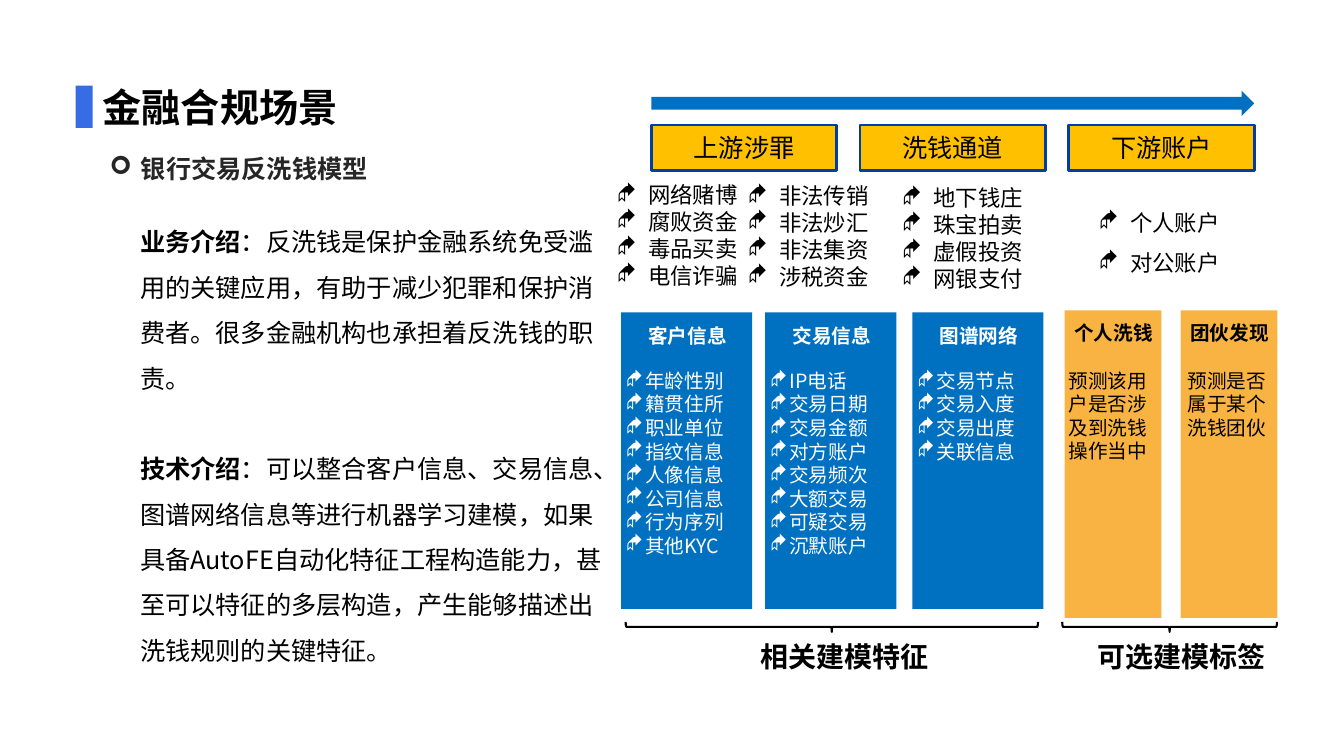
import pptx
import pptx.util
import pptx.dml.color
import pptx.enum.shapes
import pptx.enum.text
import pptx.oxml
import pptx.oxml.ns
from pptx.util import Inches

FONT = "Noto Sans CJK SC"
BLACK, WHITE, BLUE, ORANGE = "000000", "FFFFFF", "0070C0", "F8B342"
SHAPES = pptx.enum.shapes.MSO_SHAPE
CENTER = pptx.enum.text.PP_ALIGN.CENTER
MIDDLE = pptx.enum.text.MSO_ANCHOR.MIDDLE


def colour(value):
    return pptx.dml.color.RGBColor.from_string(value)


def element(tag, **values):
    node = pptx.oxml.parse_xml(f"<a:{tag} {pptx.oxml.ns.nsdecls('a')}/>")
    for name, value in values.items():
        node.set(name, value)
    return node


def add_bullet(para, symbol, indent):
    properties = para._p.get_or_add_pPr()
    properties.set("marL", str(Inches(indent)))
    properties.set("indent", str(-Inches(indent)))
    properties.append(element("buFont", typeface="Wingdings"))
    properties.append(element("buChar", char=symbol))


def add_span(para, text, size, hue=BLACK, bold=False):
    span = para.add_run()
    span.text = text
    styles = {"name": FONT, "size": pptx.util.Pt(size), "bold": bold}
    for name, value in styles.items():
        setattr(span.font, name, value)
    span.font.color.rgb = colour(hue)
    latin = span._r.rPr.find(pptx.oxml.ns.qn("a:latin"))
    latin.addnext(element("ea", typeface=FONT))


def add_box(page, left, top, width, height):
    box = page.shapes.add_textbox(*map(Inches, (left, top, width, height)))
    box.text_frame.word_wrap = True
    box.text_frame.auto_size = pptx.enum.text.MSO_AUTO_SIZE.SHAPE_TO_FIT_TEXT
    return box.text_frame


def add_text(page, place, text, size, hue=BLACK, bold=False, align=None):
    para = add_box(page, *place).paragraphs[0]
    para.alignment = align
    add_span(para, text, size, hue, bold)


def add_list(page, place, items, size, indent, hue=BLACK, symbol="◆",
             spacing=None, bold=False):
    frame = add_box(page, *place)
    for index, item in enumerate(items):
        para = frame.add_paragraph() if index else frame.paragraphs[0]
        add_bullet(para, symbol, indent)
        para.line_spacing = spacing
        add_span(para, item, size, hue, bold)


def add_shape(page, kind, place, fill=None, line=None, weight=1):
    shape = page.shapes.add_shape(kind, *map(Inches, place))
    shape.shadow.inherit = False
    if fill:
        shape.fill.solid()
        shape.fill.fore_color.rgb = colour(fill)
    else:
        shape.fill.background()
    if line:
        shape.line.color.rgb = colour(line)
        shape.line.width = pptx.util.Pt(weight)
    else:
        shape.line.fill.background()
    return shape


def add_stage(page, left, name):
    place = (left, 1.24, 1.84, 0.45)
    stage = add_shape(page, SHAPES.RECTANGLE, place, "FFC000", "003DA7", 2)
    stage.text_frame.vertical_anchor = MIDDLE
    para = stage.text_frame.paragraphs[0]
    para.alignment = CENTER
    add_span(para, name, 18)


def add_feature_card(page, left, name, items):
    add_shape(page, SHAPES.RECTANGLE, (left, 3.1, 1.3, 2.94), BLUE)
    add_text(page, (left - 0.05, 3.16, 1.42, 0.34), name, 14, WHITE, True, CENTER)
    place = (left - 0.05, 3.61, 1.42, 0.11 + 0.235 * len(items))
    add_list(page, place, items, 14, 0.19, WHITE)


def add_label_card(page, left, name, text, text_left, height):
    add_shape(page, SHAPES.RECTANGLE, (left, 3.08, 0.96, 3.05), ORANGE)
    add_text(page, (left - 0.1, 3.13, 1.17, 0.34), name, 14, BLACK, True, CENTER)
    add_text(page, (text_left, 3.61, 1.07, height), text, 14)


def add_brace(page, middle, span, caption, caption_left):
    place = (middle - 0.05, 6.22 - span / 2, 0.1, span)
    brace = add_shape(page, SHAPES.RIGHT_BRACE, place, None, BLACK, 1.5)
    brace.rotation = 90
    add_text(page, (caption_left, 6.3, 2.29, 0.44), caption, 20, BLACK, True, CENTER)


def add_introduction(page, sections):
    frame = add_box(page, 1.29, 2.05, 4.81, 4.59)
    for index, (heading, text) in enumerate(sections):
        para = frame.add_paragraph() if index else frame.paragraphs[0]
        para.line_spacing = 1.5
        if index:
            para.space_before = pptx.util.Pt(32.4)
        add_span(para, heading, 18, bold=True)
        add_span(para, text, 18)


def main():
    deck = pptx.Presentation()
    deck.slide_width, deck.slide_height = Inches(13.33), Inches(7.5)
    page = deck.slides.add_slide(deck.slide_layouts[6])

    add_shape(page, SHAPES.RECTANGLE, (0.75, 0.85, 0.17, 0.42), "366DE2")
    add_text(page, (0.92, 0.78, 3.96, 0.54), "金融合规场景", 28, bold=True)
    add_list(page, (0.99, 1.47, 3.56, 0.4), ["银行交易反洗钱模型"], 18, 0.31,
             "262626", "➢", bold=True)
    add_introduction(page, [
        ("业务介绍", "：反洗钱是保护金融系统免受滥用的关键应用，有助于减少犯罪和"
         "保护消费者。很多金融机构也承担着反洗钱的职责。"),
        ("技术介绍", "：可以整合客户信息、交易信息、图谱网络信息等进行机器学习建模，"
         "如果具备AutoFE自动化特征工程构造能力，甚至可以特征的多层构造，"
         "产生能够描述出洗钱规则的关键特征。"),
    ])

    add_shape(page, SHAPES.RIGHT_ARROW, (6.46, 0.9, 5.98, 0.25), BLUE)
    for index, name in enumerate(["上游涉罪", "洗钱通道", "下游账户"]):
        add_stage(page, 6.46 + 2.07 * index, name)

    for left, top, items in [
        (6.02, 1.75, ["网络赌博", "腐败资金", "毒品买卖", "电信诈骗"]),
        (7.32, 1.76, ["非法传销", "非法炒汇", "非法集资", "涉税资金"]),
        (8.85, 1.78, ["地下钱庄", "珠宝拍卖", "虚假投资", "网银支付"]),
    ]:
        add_list(page, (left, top, 1.42, 1.18), items, 16, 0.31)
    add_list(page, (10.8, 1.89, 1.42, 0.86), ["个人账户", "对公账户"], 16, 0.31,
             spacing=1.5)

    for left, name, items in [
        (6.16, "客户信息", ["年龄性别", "籍贯住所", "职业单位", "指纹信息",
                        "人像信息", "公司信息", "行为序列", "其他KYC"]),
        (7.59, "交易信息", ["IP电话", "交易日期", "交易金额", "对方账户",
                        "交易频次", "大额交易", "可疑交易", "沉默账户"]),
        (9.05, "图谱网络", ["交易节点", "交易入度", "交易出度", "关联信息"]),
    ]:
        add_feature_card(page, left, name, items)

    add_label_card(page, 10.56, "个人洗钱", "预测该用户是否涉及到洗钱操作当中", 10.5, 1.04)
    add_label_card(page, 11.71, "团伙发现", "预测是否属于某个洗钱团伙", 11.68, 0.81)
    add_brace(page, 8.25, 4.09, "相关建模特征", 7.23)
    add_brace(page, 11.6, 2.13, "可选建模标签", 10.57)

    deck.save("out.pptx")


if __name__ == "__main__":
    main()
